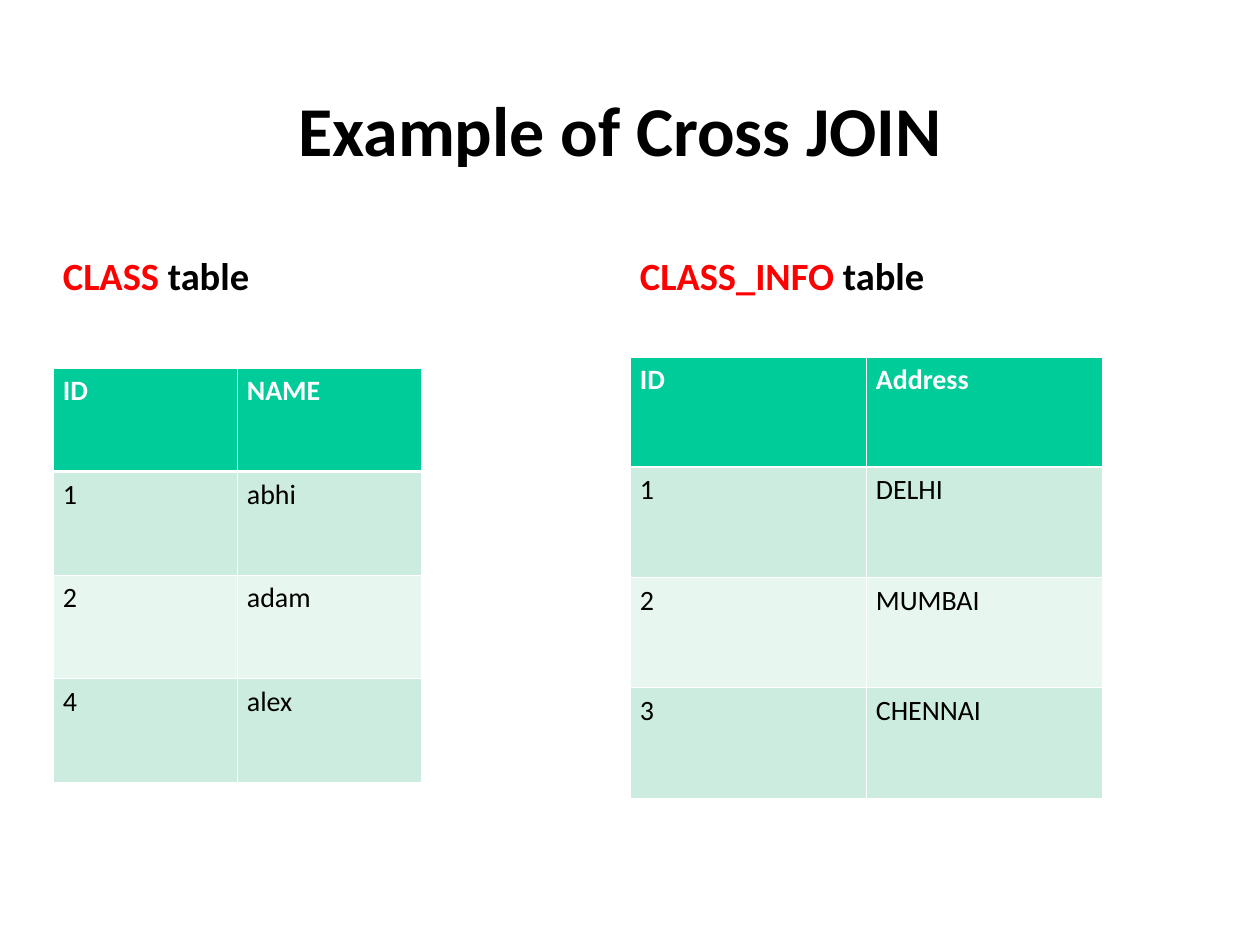
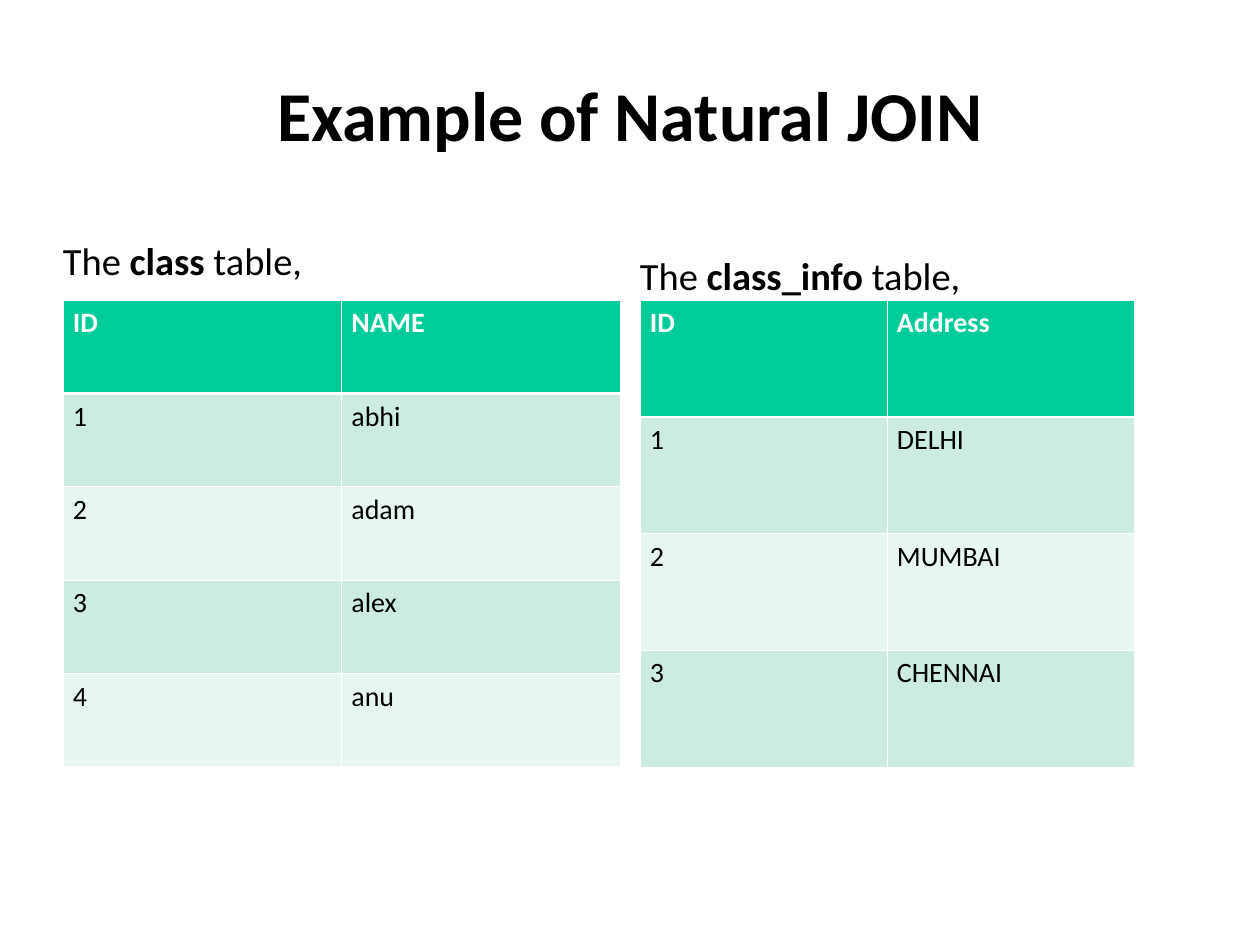
from pptx import Presentation
from pptx.dml.color import RGBColor
from pptx.enum.text import MSO_ANCHOR as Anchor, PP_ALIGN as Align
from pptx.oxml import parse_xml
from pptx.oxml.ns import nsdecls
from pptx.util import Emu, Pt

PX_PER_INCH = 126
BLACK, WHITE, RED = "000000", "FFFFFF", "FF0000"
HEADER_FILL, BAND_FILLS = "00CC99", ("CBECDE", "E7F6EF")
THIN, THICK = 0.45, 1.47
ADDRESSES = [("ID", "Address"), ("1", "DELHI"), ("2", "MUMBAI"), ("3", "CHENNAI")]


def px(length):
    return Emu(round(length * 914400 / PX_PER_INCH))


def color(hex_value):
    return RGBColor.from_string(hex_value)


def apply(target, values):
    for name, value in values.items():
        setattr(target, name, value)


class SlideBuilder:
    """Holds the deck style and the slide being filled."""

    font = "Calibri"
    title_frame = dict(vertical_anchor=Anchor.MIDDLE, word_wrap=True,
                       margin_left=px(11), margin_right=px(11),
                       margin_top=px(6), margin_bottom=px(6))
    caption_frame = dict(vertical_anchor=Anchor.BOTTOM, word_wrap=True,
                         margin_left=0, margin_right=0,
                         margin_top=px(21), margin_bottom=0)
    title_para = dict(alignment=Align.CENTER, line_spacing=0.97)
    caption_para = dict(alignment=Align.LEFT, line_spacing=0.97,
                        space_after=Pt(12.9))
    cell_format = dict(margin_left=px(10), margin_right=px(10),
                       margin_top=px(6), margin_bottom=px(6))

    def __init__(self, deck):
        self.deck = deck
        self.slide = None

    def new_slide(self):
        self.slide = self.deck.slides.add_slide(self.deck.slide_layouts[6])

    def span(self, para, text, size, hex_value=BLACK, bold=False):
        span = para.add_run()
        span.text = text
        apply(span.font, dict(name=self.font, size=Pt(size), bold=bold))
        span.font.color.rgb = color(hex_value)

    def text(self, place, spans, size, frame_format, para_format):
        """Add a one-paragraph box; each span is (text, colour, bold)."""
        box = self.slide.shapes.add_textbox(*map(px, place))
        apply(box.text_frame, frame_format)
        para = box.text_frame.paragraphs[0]
        apply(para, para_format)
        for text, hex_value, bold in spans:
            self.span(para, text, size, hex_value, bold)

    def title(self, left, top, text):
        self.text((left, top, 1134, 158), [(text, BLACK, True)], 40,
                  self.title_frame, self.title_para)

    def caption(self, left, spans, height=88):
        self.text((left, 212, 557, height), spans, 22,
                  self.caption_frame, self.caption_para)

    def borders(self, cell, top, bottom):
        properties = cell._tc.get_or_add_tcPr()
        for side, width in zip("LRTB", (THIN, THIN, top, bottom)):
            properties.append(parse_xml(
                f'<a:ln{side} {nsdecls("a")} w="{Pt(width)}"><a:solidFill>'
                f'<a:srgbClr val="{WHITE}"/></a:solidFill></a:ln{side}>'))

    def table(self, place, rows):
        """Add an evenly spaced table with a header and banded rows."""
        table = self.slide.shapes.add_table(
            len(rows), len(rows[0]), *map(px, place)).table
        for row, values in enumerate(rows):
            header = row == 0
            fill = HEADER_FILL if header else BAND_FILLS[(row - 1) % 2]
            for column, value in enumerate(values):
                cell = table.cell(row, column)
                apply(cell, self.cell_format)
                self.borders(cell, top=THICK if row == 1 else THIN,
                             bottom=THICK if header else THIN)
                cell.fill.solid()
                cell.fill.fore_color.rgb = color(fill)
                self.span(cell.text_frame.paragraphs[0], value, 16,
                          WHITE if header else BLACK, header)


def cross_join(builder):
    builder.new_slide()
    builder.title(53, 53, "Example of Cross JOIN")
    for left, name in ((63, "CLASS "), (640, "CLASS_INFO ")):
        builder.caption(left, [(name, RED, True), ("table", BLACK, True)])
    builder.table((53, 368, 368, 414), [
        ("ID", "NAME"), ("1", "abhi"), ("2", "adam"), ("4", "alex")])
    builder.table((630, 357, 472, 441), ADDRESSES)


def natural_join(builder):
    builder.new_slide()
    builder.title(63, 38, "Example of Natural JOIN")
    for left, name, height in ((63, "class", 72), (640, "class_info", 88)):
        builder.caption(left, [("The ", BLACK, False), (name, BLACK, True),
                               (" table,", BLACK, False)], height)
    builder.table((63, 300, 557, 467), [
        ("ID", "NAME"), ("1", "abhi"), ("2", "adam"), ("3", "alex"), ("4", "anu")])
    builder.table((640, 300, 494, 467), ADDRESSES)


def main():
    deck = Presentation()
    apply(deck, dict(slide_width=px(1260), slide_height=px(945)))
    builder = SlideBuilder(deck)
    cross_join(builder)
    natural_join(builder)
    deck.save("out.pptx")


if __name__ == "__main__":
    main()
